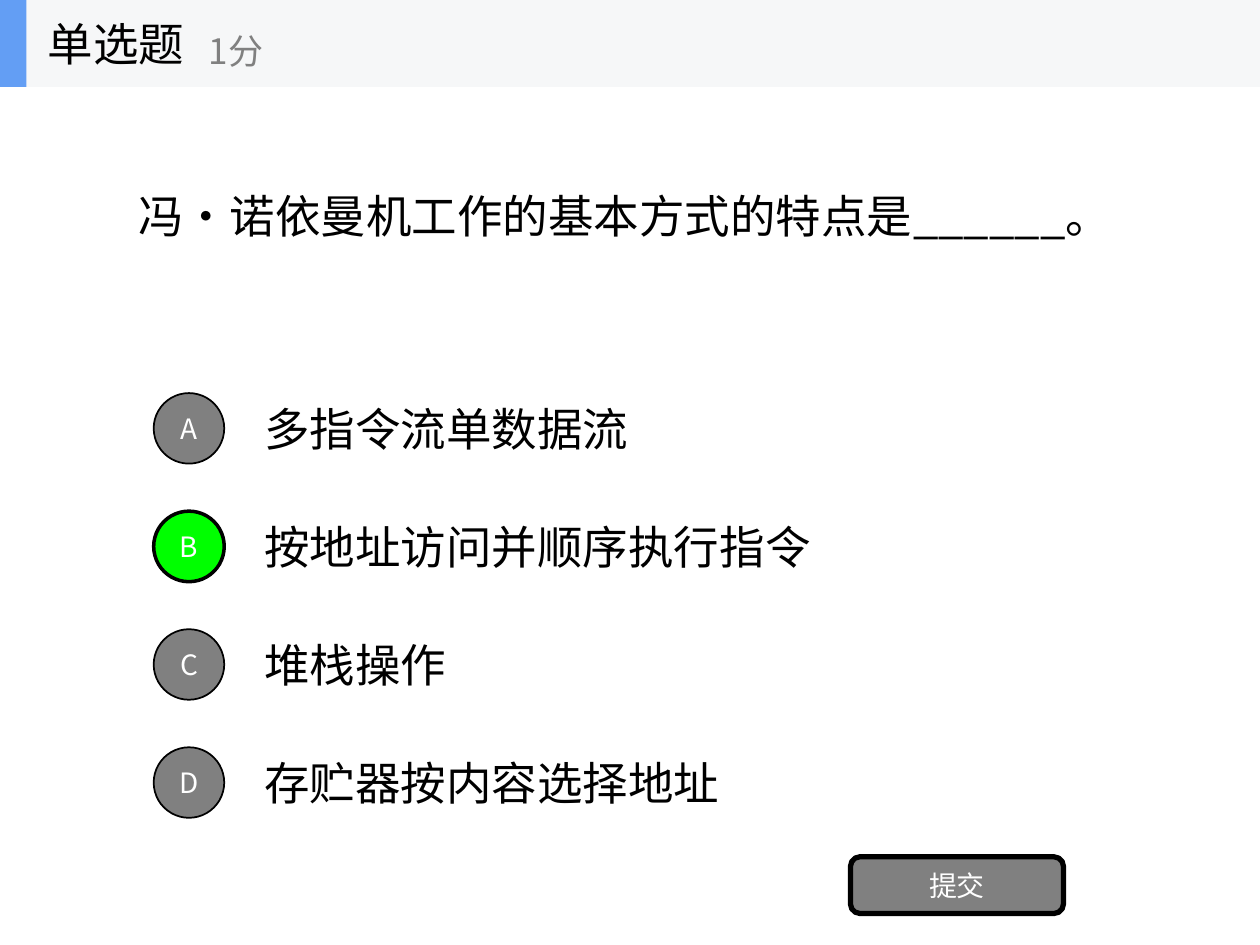
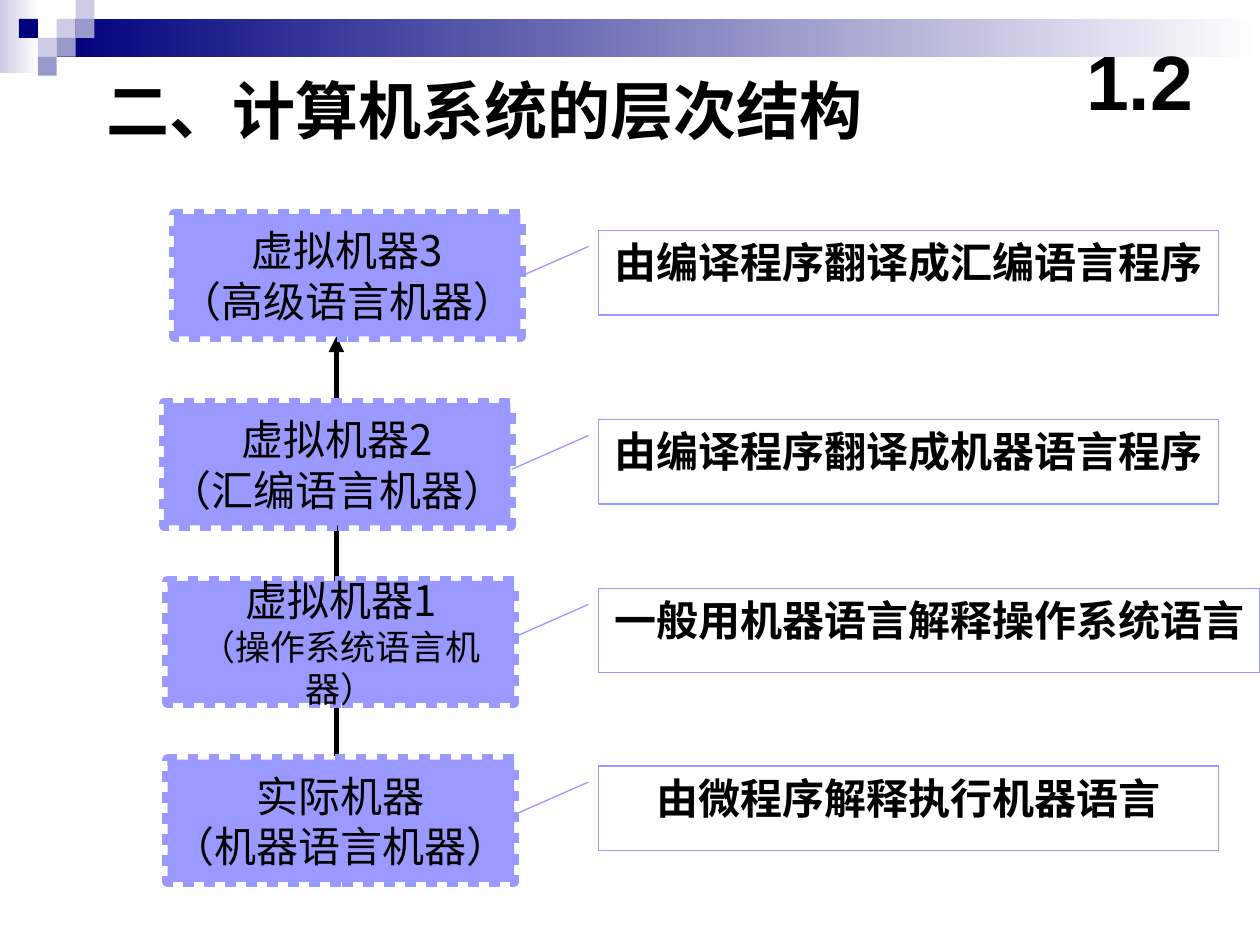
from dataclasses import dataclass

from lxml import etree
from pptx import Presentation
from pptx import util as u
from pptx.dml.color import RGBColor
from pptx.enum import dml, shapes, text
from pptx.oxml.ns import qn

SHAPE = shapes.MSO_SHAPE
MIDDLE, TOP = text.MSO_ANCHOR.MIDDLE, text.MSO_ANCHOR.TOP
LEFT, CENTER = text.PP_ALIGN.LEFT, text.PP_ALIGN.CENTER
COLUMNS, ROWS = 100, 75
UNIT = u.Inches(10) // COLUMNS


@dataclass(frozen=True)
class Theme:
    black: str = "000000"
    white: str = "FFFFFF"
    gray: str = "808080"
    correct: str = "00FF00"
    header: str = "F6F7F8"
    accent: str = "639EF4"
    navy: str = "00007D"
    pale: str = "CCCCE6"
    muted: str = "9999CC"
    violet: str = "9999FF"
    sans: str = "Noto Sans CJK SC"
    serif: str = "Times New Roman"
    number: str = "Arial"
    section_size: int = 44
    title_size: int = 36
    question_size: int = 26
    body_size: int = 24
    small_size: int = 20
    button_size: int = 16


THEME = Theme()


@dataclass(frozen=True)
class Box:
    """An area measured in grid columns and rows."""
    left: float
    top: float
    width: float
    height: float

    def area(self, left, top, width, height):
        return Box(self.left + left, self.top + top, width, height)

    def lengths(self):
        return [round(value * UNIT) for value in (self.left, self.top, self.width, self.height)]


PAGE = Box(0, 0, COLUMNS, ROWS)


def color(value):
    return RGBColor.from_string(value)


def write(shape, lines, size, ink=THEME.black, font=THEME.sans, bold=False,
          align=LEFT, anchor=MIDDLE, wrap=True, insets=(1, 0.5, 1, 0.5)):
    """Fill a shape with lines; an item may be a (words, size) pair."""
    frame = shape.text_frame
    frame.word_wrap = wrap
    frame.vertical_anchor = anchor
    frame.margin_left, frame.margin_top, frame.margin_right, frame.margin_bottom = [
        round(inset * UNIT) for inset in insets]
    pairs = [line if isinstance(line, tuple) else (line, size) for line in lines]
    frame.text = "\n".join(words for words, _ in pairs)
    for paragraph, (_, points) in zip(frame.paragraphs, pairs):
        paragraph.alignment = align
        for run in paragraph.runs:
            run.font.size = u.Pt(points)
            run.font.bold = bold
            run.font.name = font
            run.font.color.rgb = color(ink)
            east_asian = etree.SubElement(run.font._element, qn("a:ea"))
            east_asian.set("typeface", THEME.sans)


def add_text(slide, box, words, size, **style):
    write(slide.shapes.add_textbox(*box.lengths()), [words], size, **style)


def add_shape(slide, kind, box, fill=None, line=None, weight=1):
    shape = slide.shapes.add_shape(kind, *box.lengths())
    shape.shadow.inherit = False
    if fill:
        shape.fill.solid()
        shape.fill.fore_color.rgb = color(fill)
    else:
        shape.fill.background()
    if line:
        shape.line.color.rgb = color(line)
        shape.line.width = u.Pt(weight)
    else:
        shape.line.fill.background()
    return shape


def add_fading_bar(slide, box, start):
    bar = add_shape(slide, SHAPE.RECTANGLE, box)
    bar.fill.gradient()
    bar.fill.gradient_angle = 0
    for stop, shade in zip(bar.fill.gradient_stops, (start, THEME.white)):
        stop.color.rgb = color(shade)


def add_arrow(slide, column, start_row, end_row):
    points = [round(value * UNIT) for value in (column, start_row, column, end_row)]
    arrow = slide.shapes.add_connector(shapes.MSO_CONNECTOR.STRAIGHT, *points)
    arrow.line.color.rgb = color(THEME.black)
    arrow.line.width = u.Pt(3)
    etree.SubElement(arrow.line._get_or_add_ln(), qn("a:tailEnd")).set("type", "triangle")
    etree.SubElement(arrow._element.spPr, qn("a:effectLst"))


def draw_quiz_header(slide, box, kind, score):
    add_shape(slide, SHAPE.RECTANGLE, box, THEME.header)
    add_shape(slide, SHAPE.RECTANGLE, box.area(0, 0, 2.1, box.height), THEME.accent)
    add_text(slide, box.area(2.8, 0, 20.8, box.height), kind, THEME.question_size, wrap=False)
    add_text(slide, box.area(15.6, 1.2, 25, 5.6), score, THEME.small_size,
             ink=THEME.gray, wrap=False)


def draw_options(slide, box, options, correct):
    pitch = 9.37
    for index, option in enumerate(options):
        row = box.area(0, index * pitch, box.width, 7)
        letter = "ABCD"[index]
        fill, weight = (THEME.correct, 2) if letter == correct else (THEME.gray, 1)
        badge = add_shape(slide, SHAPE.OVAL, row.area(0, 0.7, 5.6, 5.6),
                          fill, THEME.black, weight)
        write(badge, [letter], THEME.button_size, THEME.white, align=CENTER, insets=(0,) * 4)
        add_text(slide, row.area(7.8, 0, 70, row.height), option, THEME.question_size)


def draw_submit_button(slide, box):
    button = add_shape(slide, SHAPE.ROUNDED_RECTANGLE, box, THEME.gray, THEME.black, 3)
    write(button, ["提交"], THEME.button_size, THEME.white, align=CENTER)


def build_quiz_slide(slide):
    add_text(slide, PAGE.area(10, 6.9, 80, 23.4), "冯·诺依曼机工作的基本方式的特点是______。",
             THEME.question_size, insets=(1, 0.5, 1, 3.5))
    draw_options(slide, PAGE.area(12.2, 30.5, 77.8, 35.1),
                 ["多指令流单数据流", "按地址访问并顺序执行指令", "堆栈操作", "存贮器按内容选择地址"],
                 correct="B")
    draw_submit_button(slide, PAGE.area(67.5, 68, 16.9, 4.5))
    draw_quiz_header(slide, PAGE.area(0, 0, COLUMNS, 6.9), "单选题", "1分")


def draw_mosaic_band(slide, box):
    tile = 1.5
    add_fading_bar(slide, box.area(0, 0, 3.1, 5.8), THEME.pale)
    add_fading_bar(slide, box.area(3 * tile, tile, box.width - 3 * tile, 2 * tile), THEME.navy)
    tiles = {
        THEME.pale: [(3, 1), (4, 0), (2, 2)],
        THEME.muted: [(4, 1), (3, 2), (2, 3)],
        THEME.navy: [(1, 1)],
    }
    for shade, cells in tiles.items():
        for column, row in cells:
            add_shape(slide, SHAPE.RECTANGLE,
                      box.area(column * tile, row * tile, tile, tile), shade)


def draw_heading(slide, box, title, section):
    add_text(slide, box.area(7.5, 5.2, 63.7, 7), title, THEME.title_size,
             font=THEME.serif, bold=True, anchor=TOP)
    add_text(slide, box.area(84.2, 1.7, 12.5, 9.2), section, THEME.section_size,
             font=THEME.number, bold=True, align=CENTER)


def draw_machine(slide, box, lines):
    machine = add_shape(slide, SHAPE.RECTANGLE, box, THEME.violet, THEME.violet, 6)
    machine.line.dash_style = dml.MSO_LINE.ROUND_DOT
    write(machine, lines, THEME.body_size, align=CENTER, insets=(0,) * 4)


def draw_callout(slide, box, words):
    """Outline a note whose leader reaches left to its machine."""
    callout = add_shape(slide, SHAPE.LINE_CALLOUT_1, box, line=THEME.violet, weight=0.75)
    leader_start, leader_end = 0.8, 6.89
    for index, share in enumerate((0.19, -leader_start / box.width,
                                   0.59, -leader_end / box.width)):
        callout.adjustments[index] = share
    write(callout, [words], THEME.body_size, font=THEME.serif, bold=True,
          align=CENTER, anchor=TOP)


def draw_machine_levels(slide, box):
    axis = box.left + 13.7
    add_arrow(slide, axis, box.top + 43, box.top + 23.8)
    add_arrow(slide, axis, box.top + 14.7, box.top + 9.7)
    levels = [
        (0.8, 0, ["虚拟机器3", "（高级语言机器）"], 1.3, 49.2, "由编译程序翻译成汇编语言程序"),
        (0, 15, ["虚拟机器2", "（汇编语言机器）"], 1.3, 49.2, "由编译程序翻译成机器语言程序"),
        (0.3, 29.1, ["虚拟机器1", ("（操作系统语言机器）", THEME.small_size)], 0.6, 52.5,
         "一般用机器语言解释操作系统语言"),
        (0.3, 43.3, ["实际机器", "（机器语言机器）"], 0.5, 49.2, "由微程序解释执行机器语言"),
    ]
    for shift, top, machine, drop, note_width, note in levels:
        draw_machine(slide, box.area(shift, top, 27.5, 9.7), machine)
        draw_callout(slide, box.area(34.5, top + drop, note_width, 6.7), note)


def build_hierarchy_slide(slide):
    draw_mosaic_band(slide, PAGE)
    draw_machine_levels(slide, PAGE.area(13, 17, 87, 53))
    draw_heading(slide, PAGE, "二、计算机系统的层次结构", "1.2")


def main():
    presentation = Presentation()
    presentation.slide_width = COLUMNS * UNIT
    presentation.slide_height = ROWS * UNIT
    blank = presentation.slide_layouts[6]
    for build in (build_quiz_slide, build_hierarchy_slide):
        build(presentation.slides.add_slide(blank))
    presentation.save("out.pptx")


if __name__ == "__main__":
    main()
